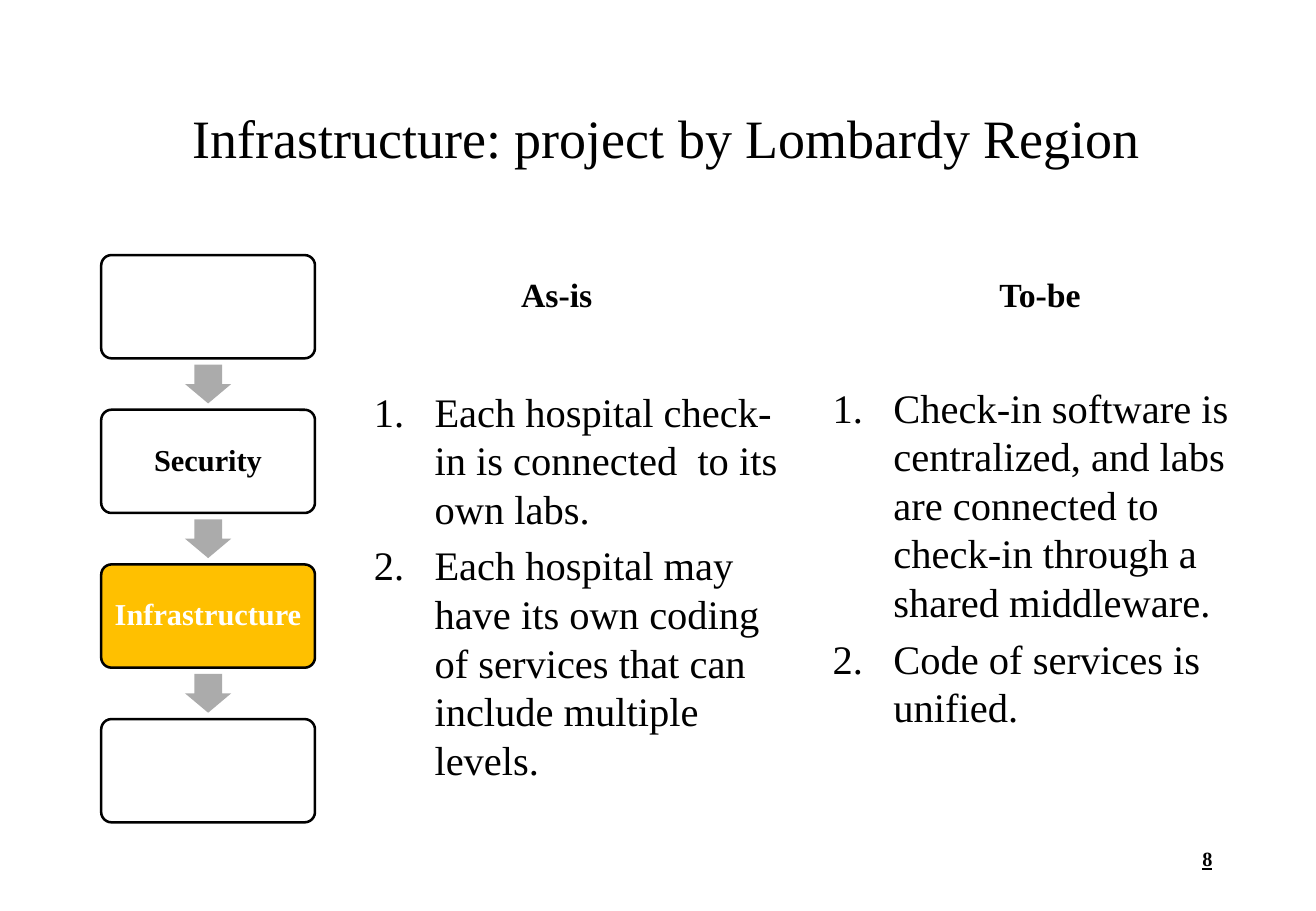
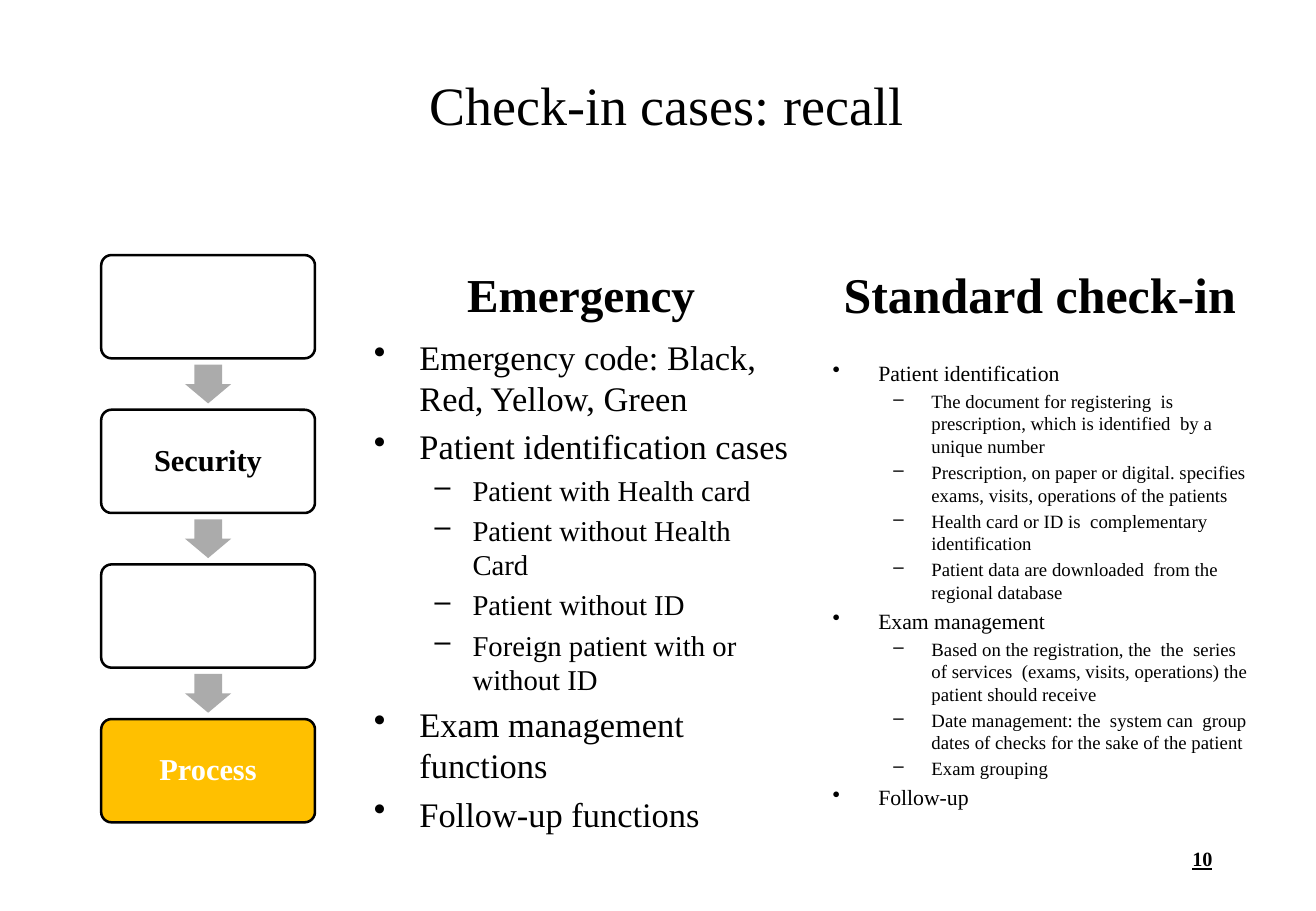
import pptx
import pptx.util
import pptx.dml.color
import pptx.enum.shapes
import pptx.enum.text
import pptx.oxml.ns
import lxml.etree

Pt = pptx.util.Pt
ALIGN = pptx.enum.text.PP_ALIGN
ANCHOR = pptx.enum.text.MSO_ANCHOR
SHAPE = pptx.enum.shapes.MSO_SHAPE
FONT = "Times New Roman"
BLACK, WHITE, GOLD, GREY = "000000", "FFFFFF", "FFC000", "ABABAB"


def rgb(color):
    return pptx.dml.color.RGBColor.from_string(color)


def write(sp, paras, color=BLACK, frame=None, para=None, font=None):
    """Fill a shape with (text, size, bullet, indent, hanging) paragraphs."""
    tf = sp.text_frame
    settings = {"word_wrap": True, "auto_size": pptx.enum.text.MSO_AUTO_SIZE.NONE,
                "vertical_anchor": ANCHOR.MIDDLE,
                "margin_left": Pt(7.2), "margin_right": Pt(7.2),
                "margin_top": Pt(3.6), "margin_bottom": Pt(3.6)}
    for name, value in {**settings, **(frame or {})}.items():
        setattr(tf, name, value)
    for i, (text, size, bullet, indent, hanging) in enumerate(paras):
        p = tf.paragraphs[0] if i == 0 else tf.add_paragraph()
        spacing = {"space_before": Pt(round(size * 0.2, 1) if i else 0)}
        for name, value in {**spacing, **(para or {})}.items():
            setattr(p, name, value)
        if bullet:
            pPr = p._p.get_or_add_pPr()
            pPr.set("marL", str(Pt(indent)))
            pPr.set("indent", str(Pt(-hanging)))
            tag, key = ("a:buAutoNum", "type") if bullet == "arabicPeriod" else ("a:buChar", "char")
            bu = lxml.etree.SubElement(pPr, pptx.oxml.ns.qn(tag))
            bu.set(key, bullet)
        r = p.add_run()
        r.text = text
        for name, value in {"name": FONT, "size": Pt(size), **(font or {})}.items():
            setattr(r.font, name, value)
        r.font.color.rgb = rgb(color)


# Content: columns hold left edge, heading, heading size, level sizes, items
LEFT, RIGHT = 214.5, 486.5
NUMBERS = [("arabicPeriod", 36, 36)]
BULLETS = [("•", 27, 27), ("–", 58.5, 22.5)]
slides = [
    {"title": "Infrastructure: project by Lombardy Region", "title_bottom": 3.6,
     "page": "8", "steps": ["", "Security", "Infrastructure", ""], "active": 2,
     "styles": NUMBERS,
     "columns": [
         {"left": LEFT, "heading": "As-is", "heading_size": 20, "heading_right": 36,
          "sizes": [24], "bottom": 3.6, "items": [
              (0, "Each hospital check-in is connected  to its own labs."),
              (0, "Each hospital may have its own coding of services that can include multiple levels.")]},
         {"left": RIGHT, "heading": "To-be", "heading_size": 20, "heading_right": 7.2,
          "sizes": [24], "bottom": 37.2, "items": [
              (0, "Check-in software is  centralized, and labs are connected to check-in through a  shared middleware."),
              (0, "Code of services is  unified.")]}]},
    {"title": "Check-in cases: recall", "title_bottom": 42,
     "page": "10", "steps": ["", "Security", "", "Process"], "active": 3,
     "styles": BULLETS,
     "columns": [
         {"left": LEFT, "heading": "Emergency", "heading_size": 28, "heading_right": 7.2,
          "sizes": [20.4, 17], "bottom": 3.6, "items": [
              (0, "Emergency code: Black, Red, Yellow, Green"),
              (0, "Patient identification cases"),
              (1, "Patient with Health card"),
              (1, "Patient without Health Card"),
              (1, "Patient without ID"),
              (1, "Foreign patient with or without ID"),
              (0, "Exam management functions"),
              (0, "Follow-up functions")]},
         {"left": RIGHT, "heading": "Standard check-in", "heading_size": 29.6, "heading_right": 7.2,
          "sizes": [12.9, 11.1], "bottom": 3.6, "items": [
              (0, "Patient identification"),
              (1, "The document for registering  is prescription, which is identified  by a unique number"),
              (1, "Prescription, on paper or digital. specifies exams, visits, operations of the patients"),
              (1, "Health card or ID is  complementary identification"),
              (1, "Patient data are downloaded  from the regional database"),
              (0, "Exam management"),
              (1, "Based on the registration, the  the  series of services  (exams, visits, operations) the patient should receive"),
              (1, "Date management: the  system can  group dates of checks for the sake of the patient"),
              (1, "Exam grouping"),
              (0, "Follow-up")]}]},
]

# Step chain geometry
STEP_X, STEP_Y, STEP_W, STEP_H, STEP_PITCH = 60, 151.2, 126.7, 61.2, 91.68
ARROW_W, ARROW_H = 23, 27.4

prs = pptx.Presentation()
prs.slide_width, prs.slide_height = Pt(780), Pt(540)

for data in slides:
    s = prs.slides.add_slide(prs.slide_layouts[5])

    # Title
    sp = s.shapes.title
    for name, value in {"left": 44, "top": 28.8, "width": 702.5, "height": 104.4}.items():
        setattr(sp, name, Pt(value))
    write(sp, [(data["title"], 32, None, 0, 0)],
          frame={"margin_bottom": Pt(data["title_bottom"])},
          para={"alignment": ALIGN.CENTER})

    # Headings and lists
    for col in data["columns"]:
        sp = s.shapes.add_textbox(Pt(col["left"]), Pt(151.2), Pt(260), Pt(46))
        write(sp, [(col["heading"], col["heading_size"], None, 0, 0)],
              frame={"margin_right": Pt(col["heading_right"])},
              para={"alignment": ALIGN.CENTER}, font={"bold": True})
        sp = s.shapes.add_textbox(Pt(col["left"]), Pt(206), Pt(260), Pt(281.5))
        write(sp, [(text, col["sizes"][level], *data["styles"][level])
                   for level, text in col["items"]],
              frame={"margin_bottom": Pt(col["bottom"])})

    # Step chain with arrows between the boxes
    for i, label in enumerate(data["steps"]):
        active = i == data["active"]
        y = STEP_Y + i * STEP_PITCH
        sp = s.shapes.add_shape(SHAPE.ROUNDED_RECTANGLE, Pt(STEP_X), Pt(y), Pt(STEP_W), Pt(STEP_H))
        sp.adjustments[0] = 0.1
        sp.shadow.inherit = False
        sp.fill.solid()
        sp.fill.fore_color.rgb = rgb(GOLD if active else WHITE)
        sp.line.color.rgb = rgb(BLACK)
        sp.line.width = Pt(1.5)
        if label:
            write(sp, [(label, 18, None, 0, 0)], color=WHITE if active else BLACK,
                  frame={"margin_left": Pt(5), "margin_right": Pt(5)},
                  para={"alignment": ALIGN.CENTER, "line_spacing": 0.9},
                  font={"bold": True})
        if i:
            gap_middle = y - (STEP_PITCH - STEP_H) / 2
            sp = s.shapes.add_shape(SHAPE.RIGHT_ARROW, Pt(STEP_X + (STEP_W - ARROW_W) / 2),
                                    Pt(gap_middle - ARROW_H / 2), Pt(ARROW_W), Pt(ARROW_H))
            sp.rotation = 90
            sp.adjustments[0], sp.adjustments[1] = 0.6, 0.5
            sp.shadow.inherit = False
            sp.fill.solid()
            sp.fill.fore_color.rgb = rgb(GREY)
            sp.line.fill.background()

    # Page number
    sp = s.shapes.add_textbox(Pt(563.8), Pt(498.2), Pt(162), Pt(41.8))
    write(sp, [(data["page"], 12, None, 0, 0)], frame={"vertical_anchor": ANCHOR.TOP},
          para={"alignment": ALIGN.RIGHT}, font={"bold": True, "underline": True})

prs.save("out.pptx")
